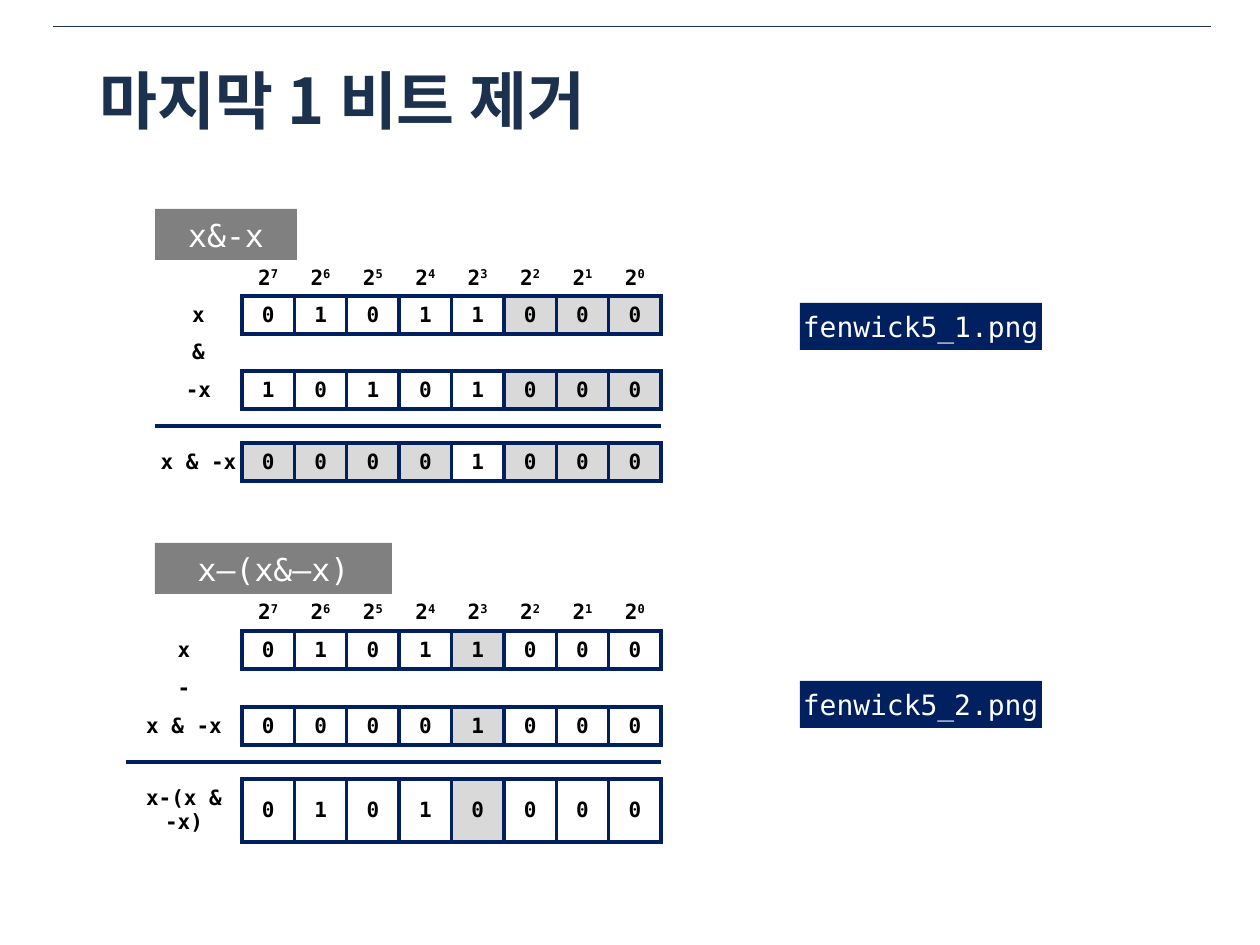
from lxml import etree
from pptx import Presentation
from pptx import util as u
from pptx.dml.color import RGBColor
from pptx.enum import shapes, text
from pptx.oxml.ns import qn

# Content
TITLE = "마지막 1 비트 제거"
POWERS = [[("2", 0), (str(n), 30)] for n in range(7, -1, -1)]
# rows: label, bits, shaded bit positions
TABLES = [
    dict(name="x&-x", name_box=(155, 209, 142, 51), left=155, top=260, label_width=87,
         heights=(36, 38, 37, 38, 17, 17, 38),
         rows=[("x", "01011000", {5, 6, 7}), ("&", "", set()),
               ("-x", "10101000", {5, 6, 7}), ("", "", set()), ("", "", set()),
               ("x & -x", "00001000", {0, 1, 2, 3, 5, 6, 7})]),
    dict(name="x–(x&–x)", name_box=(155, 543, 237, 51), left=126, top=594, label_width=116,
         heights=(37, 38, 38, 38, 17, 17, 63),
         rows=[("x", "01011000", {4}), ("-", "", set()),
               ("x & -x", "00001000", {4}), ("", "", set()), ("", "", set()),
               ("x-(x & -x)", "01010000", {4})]),
]
FILES = [("fenwick5_1.png", 303), ("fenwick5_2.png", 681)]

# Style
COLORS = dict(title="1C314E", navy="002060", gray="808080", shade="D9D9D9",
              black="000000", white="FFFFFF")
MONO, SANS = "DejaVu Sans Mono", "Noto Sans CJK KR"
BIT_WIDTH = 52.4
BOXED_ROWS = {1, 3, 6}
RULE_ABOVE_ROW = 5


def px(n):
    return u.Emu(round(n * 914400 / 126))


def color(name):
    return RGBColor.from_string(COLORS[name])


def write(frame, runs, size, ink, font=MONO, bold=False, wrap=True,
          align=text.PP_ALIGN.CENTER, anchor=text.MSO_ANCHOR.MIDDLE):
    """Write a string, or a list of (string, raise in percent), as one paragraph."""
    frame.word_wrap = wrap
    frame.vertical_anchor = anchor
    paragraph = frame.paragraphs[0]
    paragraph.alignment = align
    paragraph.font.size = u.Pt(size)
    for words, rise in [(runs, 0)] if isinstance(runs, str) else runs:
        run = paragraph.add_run()
        run.text = words
        run.font.size, run.font.bold, run.font.name = u.Pt(size), bold, font
        run.font.color.rgb = color(ink)
        props = run._r.get_or_add_rPr()
        etree.SubElement(props, qn("a:ea")).set("typeface", font)
        if rise:
            props.set("baseline", str(rise * 1000))


def draw_borders(cell, sides):
    props = cell._tc.get_or_add_tcPr()
    for side, visible in sides.items():
        line = etree.SubElement(props, qn("a:ln" + side))
        line.set("w", str(u.Pt(2.25)))
        if visible:
            fill = etree.SubElement(line, qn("a:solidFill"))
            etree.SubElement(fill, qn("a:srgbClr")).set("val", COLORS["navy"])
        else:
            etree.SubElement(line, qn("a:noFill"))


def boxed(row, col):
    return row in BOXED_ROWS and 1 <= col <= 8


def add_label(slide, words, box, fill, size, **style):
    label = slide.shapes.add_shape(shapes.MSO_SHAPE.RECTANGLE, *map(px, box))
    label.shadow.inherit = False
    label.fill.solid()
    label.fill.fore_color.rgb = color(fill)
    label.line.fill.background()
    # Narrow side margins keep the longest name on one line inside its box
    label.text_frame.margin_left = label.text_frame.margin_right = px(3)
    write(label.text_frame, words, size, "white", wrap=False, **style)


def add_bit_table(slide, spec):
    widths = [spec["label_width"]] + [BIT_WIDTH] * 8
    heights = spec["heights"]
    table = slide.shapes.add_table(
        len(heights), len(widths), px(spec["left"]), px(spec["top"]),
        px(sum(widths)), px(sum(heights))).table
    table.first_row = table.horz_banding = False
    for column, width in zip(table.columns, widths):
        column.width = px(width)
    for row, height in zip(table.rows, heights):
        row.height = px(height)

    grid = [[""] + POWERS]
    grid += [[label, *bits.ljust(8)] for label, bits, _ in spec["rows"]]
    for r, line in enumerate(grid):
        shaded = spec["rows"][r - 1][2] if r else set()
        for c, value in enumerate(line):
            cell = table.cell(r, c)
            box = boxed(r, c)
            draw_borders(cell, dict(
                L=box or boxed(r, c - 1), R=box or boxed(r, c + 1),
                T=box or boxed(r - 1, c) or r == RULE_ABOVE_ROW,
                B=box or boxed(r + 1, c) or r == RULE_ABOVE_ROW - 1))
            if c - 1 in shaded:
                cell.fill.solid()
                cell.fill.fore_color.rgb = color("shade")
            else:
                cell.fill.background()
            cell.margin_left = cell.margin_right = px(5)
            cell.margin_top = cell.margin_bottom = 0
            cell.vertical_anchor = text.MSO_ANCHOR.MIDDLE
            if value and value != " ":
                write(cell.text_frame, value, 12, "black", bold=True)
            else:
                cell.text_frame.paragraphs[0].font.size = u.Pt(1)


def main():
    deck = Presentation()
    deck.slide_width, deck.slide_height = px(1260), px(945)
    slide = deck.slides.add_slide(deck.slide_layouts[6])

    # Top rule and title
    rule = slide.shapes.add_connector(
        shapes.MSO_CONNECTOR.STRAIGHT, px(53), px(26), px(1211), px(26))
    rule.line.color.rgb = color("title")
    rule.line.width = u.Pt(0.25)
    etree.SubElement(rule._element.spPr, qn("a:effectLst"))
    title = slide.shapes.add_textbox(px(87), px(50), px(1086), px(98))
    write(title.text_frame, TITLE, 36, "title", font=SANS, bold=True,
          align=text.PP_ALIGN.LEFT)

    # Bit tables with their names
    for spec in TABLES:
        add_bit_table(slide, spec)
        add_label(slide, spec["name"], spec["name_box"], "gray", 18)

    # File names
    for name, top in FILES:
        add_label(slide, name, (800, top, 242, 47), "navy", 16,
                  align=text.PP_ALIGN.LEFT)

    deck.save("out.pptx")


if __name__ == "__main__":
    main()
